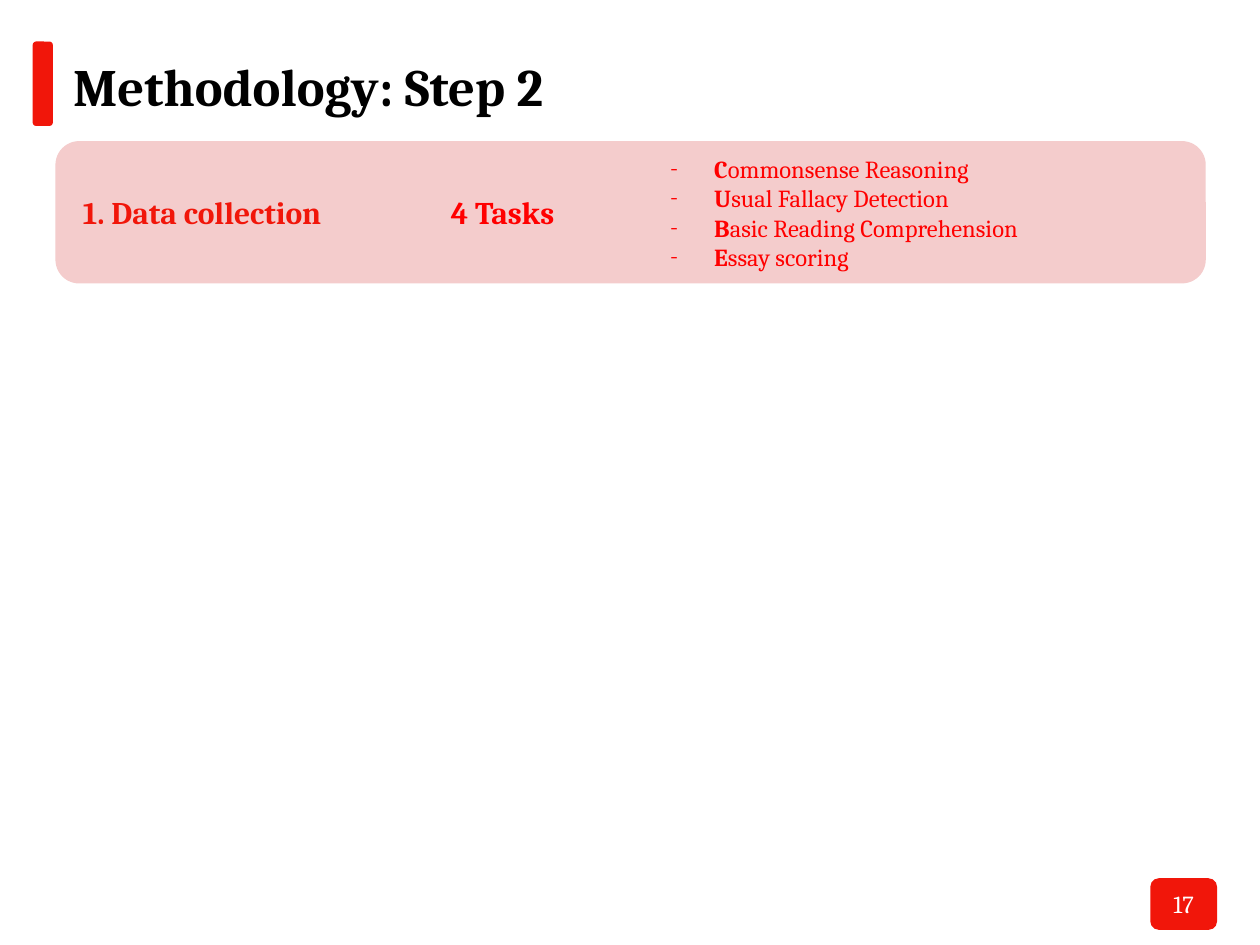
from lxml import etree
from pptx import Presentation
from pptx.dml.color import RGBColor
from pptx.enum.shapes import MSO_SHAPE
from pptx.enum.text import MSO_ANCHOR, MSO_AUTO_SIZE, PP_ALIGN
from pptx.oxml.ns import qn
from pptx.util import Inches, Pt

ROUNDED = MSO_SHAPE.ROUNDED_RECTANGLE
TOP, MIDDLE = MSO_ANCHOR.TOP, MSO_ANCHOR.MIDDLE
NO_AUTOFIT = MSO_AUTO_SIZE.NONE
LEFT, CENTER = PP_ALIGN.LEFT, PP_ALIGN.CENTER

FONT = "Cambria"
ACCENT, RED, PINK = "F1160A", "FF0000", "F4CCCC"
BLACK, WHITE = "000000", "FFFFFF"
TASKS = ["Commonsense Reasoning", "Usual Fallacy Detection",
         "Basic Reading Comprehension", "Essay scoring"]


def rgb(color):
    return RGBColor.from_string(color)


def inches(box):
    return [Inches(length) for length in box]


def style_font(paragraph, size, color, bold=None):
    font = paragraph.font
    font.name, font.size, font.bold = FONT, Pt(size), bold
    font.color.rgb = rgb(color)


def prepare_frame(frame, anchor=TOP):
    frame.word_wrap = True
    frame.auto_size = NO_AUTOFIT
    frame.vertical_anchor = anchor
    frame.margin_left = frame.margin_right = Inches(0.1)
    frame.margin_top = frame.margin_bottom = Inches(0.1)


def write_line(frame, text, size, color, bold=None, align=LEFT, anchor=TOP):
    prepare_frame(frame, anchor)
    line = frame.paragraphs[0]
    line.text, line.alignment = text, align
    style_font(line, size, color, bold)


def add_rounded(slide, box, color):
    panel = slide.shapes.add_shape(ROUNDED, *inches(box))
    panel.adjustments[0] = 0.167
    panel.shadow.inherit = False
    panel.fill.solid()
    panel.fill.fore_color.rgb = rgb(color)
    panel.line.fill.background()
    return panel


def add_dash(paragraph, color):
    properties = paragraph._p.get_or_add_pPr()
    properties.set("marL", str(Inches(0.5)))
    properties.set("indent", str(Inches(-0.35)))
    bullet_color = etree.SubElement(properties, qn("a:buClr"))
    etree.SubElement(bullet_color, qn("a:srgbClr"), val=color)
    etree.SubElement(properties, qn("a:buFont"), typeface=FONT)
    etree.SubElement(properties, qn("a:buChar"), char="-")


def add_heading(slide, left, top, width, height):
    title = slide.shapes.title
    title.left, title.top, title.width, title.height = inches(
        (left + 0.22, top, width - 0.22, height))
    write_line(title.text_frame, "Methodology: Step 2", 30, BLACK, bold=True)
    # Accent bar beside the title
    add_rounded(slide, (left, top, 0.16, 0.67), ACCENT)


def add_page_number(slide, *box):
    badge = add_rounded(slide, box, ACCENT)
    write_line(badge.text_frame, "17", 14, WHITE, align=CENTER, anchor=MIDDLE)


def add_task_list(slide, *box):
    frame = slide.shapes.add_textbox(*inches(box)).text_frame
    prepare_frame(frame)
    for index, task in enumerate(TASKS):
        item = frame.paragraphs[0] if index == 0 else frame.add_paragraph()
        add_dash(item, RED)
        style_font(item, 14, RED)
        # Bold initials spell the acronym
        initial = item.add_run()
        initial.text, initial.font.bold = task[0], True
        item.add_run().text = task[1:]


def add_step(slide, left, top, width, height):
    add_rounded(slide, (left, top, width, height), PINK)
    # Step name and task count
    labels = [("1. Data collection", 0.12, 2.24, ACCENT),
              ("4 Tasks", 3.04, 1.18, RED)]
    for text, offset, label_width, color in labels:
        label = slide.shapes.add_textbox(
            *inches((left + offset, top + 0.31, label_width, 0.47)))
        write_line(label.text_frame, text, 18, color, bold=True)
    add_task_list(slide, left + 4.63, top, 4.59, 1.08)


def main():
    deck = Presentation()
    deck.slide_width, deck.slide_height = Inches(10), Inches(7.5)
    slide = deck.slides.add_slide(deck.slide_layouts[5])
    add_heading(slide, 0.26, 0.33, 9.54, 0.83)
    add_page_number(slide, 9.13, 6.97, 0.53, 0.41)
    add_step(slide, 0.44, 1.12, 9.13, 1.13)
    deck.save("out.pptx")


if __name__ == "__main__":
    main()
